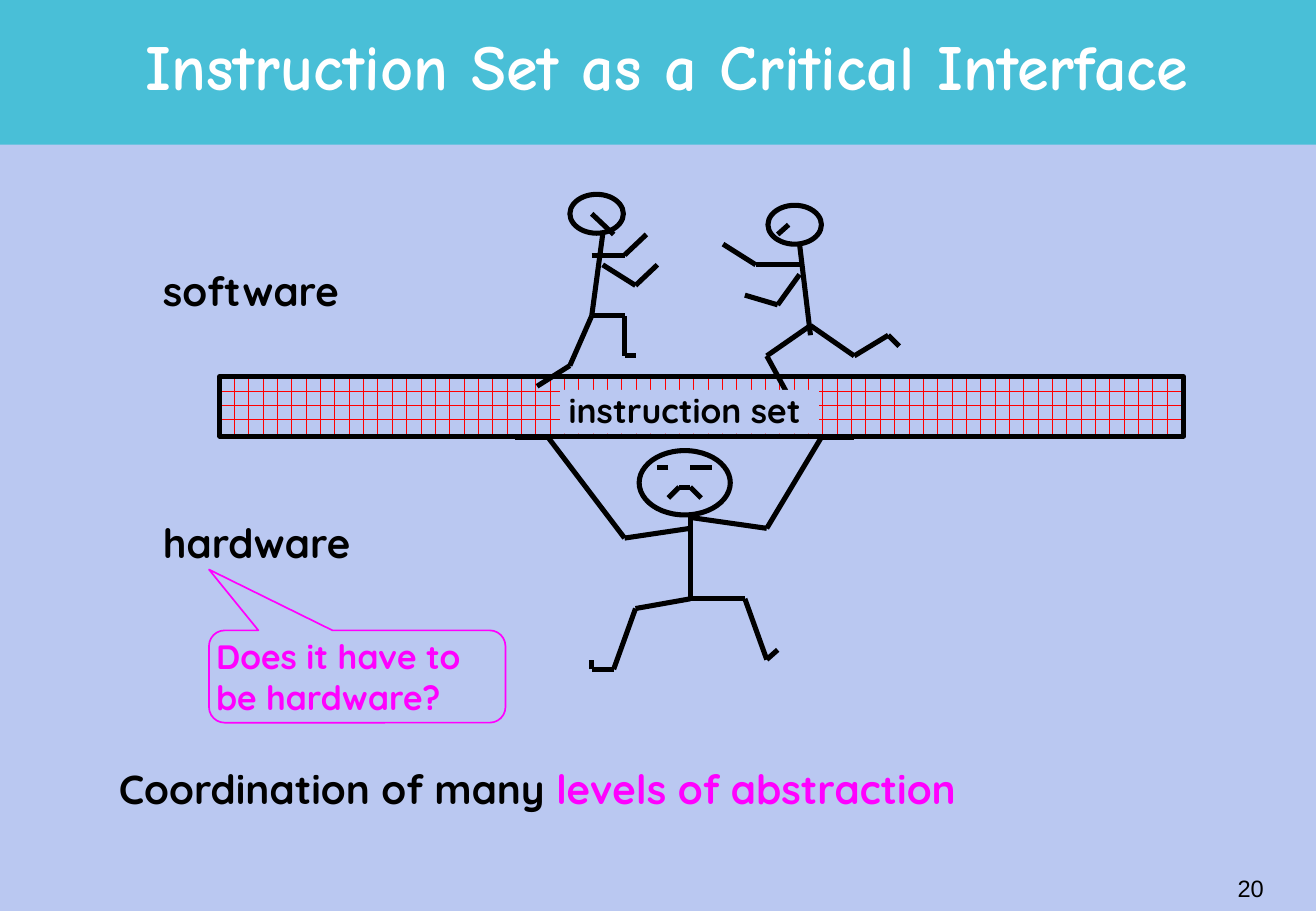
from itertools import pairwise

from lxml import etree
from pptx import Presentation
from pptx.dml.color import RGBColor
from pptx.enum.dml import MSO_PATTERN
from pptx.enum.shapes import MSO_CONNECTOR, MSO_SHAPE
from pptx.enum.text import MSO_ANCHOR, PP_ALIGN
from pptx.oxml.ns import qn
from pptx.util import Inches, Pt

RECTANGLE, OVAL = MSO_SHAPE.RECTANGLE, MSO_SHAPE.OVAL
CALLOUT = MSO_SHAPE.ROUNDED_RECTANGULAR_CALLOUT
STRAIGHT = MSO_CONNECTOR.STRAIGHT
BRICK = MSO_PATTERN.HORIZONTAL_BRICK
TOP, MIDDLE = MSO_ANCHOR.TOP, MSO_ANCHOR.MIDDLE
LEFT, CENTER, RIGHT = PP_ALIGN.LEFT, PP_ALIGN.CENTER, PP_ALIGN.RIGHT

COLORS = {"page": "BAC8F1", "band": "49BFD7", "ink": "000000",
          "accent": "FF00FF", "brick": "FF0000", "title": "FFFFFF"}
SNUG, ROOMY, TIGHT = (0.07, 0.03), (0.1, 0.05), (0.02, 0.01)

# Each figure: the box of its head, then its strokes as chains of points
FIGURES = {
    "left runner": ((4.69, 1.6, 0.44, 0.32), [
        [(4.96, 1.93), (4.87, 2.6), (5.14, 2.6), (5.14, 2.93), (5.23, 2.93)],
        [(4.87, 2.6), (4.69, 3.01), (4.42, 3.18)],
        [(4.96, 2.18), (5.23, 2.35), (5.41, 2.18)],
        [(4.87, 2.1), (5.14, 2.1), (5.32, 1.93)],
        [(5.05, 1.93), (4.87, 1.76)]]),
    "right runner": ((6.32, 1.69, 0.44, 0.32), [
        [(6.58, 2.01), (6.67, 2.76)],
        [(6.67, 2.68), (6.31, 2.93), (6.49, 3.26)],
        [(6.67, 2.68), (7.03, 2.93), (7.31, 2.76), (7.4, 2.85)],
        [(6.58, 2.26), (6.4, 2.51), (6.13, 2.43)],
        [(6.58, 2.18), (6.22, 2.18), (5.95, 2.01)],
        [(6.4, 1.93), (6.49, 1.85)]]),
    "bearer": ((5.26, 3.71, 0.75, 0.53), [
        [(5.5, 4.1), (5.59, 4.01), (5.68, 4.01), (5.77, 4.1)],
        [(5.68, 3.85), (5.86, 3.85)],
        [(5.5, 3.85), (5.41, 3.85)],
        [(5.68, 4.26), (5.68, 4.93), (6.13, 4.93), (6.31, 5.43), (6.4, 5.35)],
        [(5.68, 4.93), (5.23, 5.01), (5.05, 5.51), (4.87, 5.51), (4.87, 5.43)],
        [(5.68, 4.26), (6.31, 4.35), (6.76, 3.6), (7.03, 3.6)],
        [(5.68, 4.35), (5.14, 4.43), (4.51, 3.6), (4.24, 3.6)]]),
}


def color(name):
    return RGBColor.from_string(COLORS[name])


class Sketch:
    """Holds the text style and the current page."""

    def __init__(self, page, font):
        self.page = page
        self.font = font

    def shape(self, kind, box, fill=None, line=None, width=3):
        shape = self.page.shapes.add_shape(kind, *map(Inches, box))
        shape.shadow.inherit = False
        if fill:
            shape.fill.solid()
            shape.fill.fore_color.rgb = color(fill)
        else:
            shape.fill.background()
        if line:
            shape.line.color.rgb = color(line)
            shape.line.width = Pt(width)
        else:
            shape.line.fill.background()
        return shape

    def stroke(self, points):
        for start, end in pairwise(points):
            line = self.page.shapes.add_connector(STRAIGHT, *map(Inches, start + end))
            line.line.color.rgb = color("ink")
            line.line.width = Pt(3)
            etree.SubElement(line._element.spPr, qn("a:effectLst"))

    def figure(self, head, strokes):
        self.shape(OVAL, head, line="ink")
        for points in strokes:
            self.stroke(points)

    def label(self, shape, spans, size, margins=SNUG, spacing=1.0,
              align=LEFT, anchor=TOP, font=None, bold=True):
        frame = shape.text_frame
        across, down = map(Inches, margins)
        frame_format = {"word_wrap": True, "vertical_anchor": anchor,
                        "margin_left": across, "margin_right": across,
                        "margin_top": down, "margin_bottom": down}
        for name, value in frame_format.items():
            setattr(frame, name, value)
        para = frame.paragraphs[0]
        para.alignment = align
        para.line_spacing = spacing
        for text, tint in spans:
            span = para.add_run()
            span.text = text
            span.font.color.rgb = color(tint)
            font_format = {"name": font or self.font, "size": Pt(size), "bold": bold}
            for name, value in font_format.items():
                setattr(span.font, name, value)

    def text(self, box, spans, size, **style):
        self.label(self.page.shapes.add_textbox(*map(Inches, box)), spans, size, **style)

    def title(self, box, text, **style):
        title = self.page.shapes.title
        title.left, title.top, title.width, title.height = map(Inches, box)
        # Bring the title in front of the band
        self.page.shapes._spTree.append(title._element)
        self.label(title, [(text, "title")], **style)


def main():
    deck = Presentation()
    deck.slide_width, deck.slide_height = Inches(10.83), Inches(7.5)
    page = deck.slides.add_slide(deck.slide_layouts[5])
    page.background.fill.solid()
    page.background.fill.fore_color.rgb = color("page")
    sketch = Sketch(page, "Quicksand")

    # Header
    sketch.shape(RECTANGLE, (0, 0, 10.83, 1.19), fill="band")
    sketch.title((-0.18, 0.14, 11.34, 0.79), "Instruction Set as a Critical Interface",
                 size=38, font="Comic Neue", margins=ROOMY, align=CENTER, anchor=MIDDLE)

    # Brick bar between software and hardware
    bar = sketch.shape(RECTANGLE, (1.81, 3.1, 7.93, 0.49), line="ink")
    bar.fill.patterned()
    bar.fill.pattern = BRICK
    bar.fill.fore_color.rgb = color("brick")
    bar.fill.back_color.rgb = color("page")

    # Stick figures
    for head, strokes in FIGURES.values():
        sketch.figure(head, strokes)

    # Labels
    plate = sketch.shape(RECTANGLE, (4.61, 3.21, 2.13, 0.36), fill="page")
    sketch.label(plate, [("instruction set", "ink")], 20, spacing=0.92)
    for word, top in (("software", 2.22), ("hardware", 4.3)):
        sketch.text((1.27, top, 1.84, 0.4), [(word, "ink")], 24, spacing=0.85)

    # Question
    callout = sketch.shape(CALLOUT, (1.72, 5.19, 2.44, 0.76), line="accent", width=1)
    for index, value in enumerate((-0.5, -1.16, 0.17)):
        callout.adjustments[index] = value
    sketch.label(callout, [("Does it have to be hardware?", "accent")], 20,
                 margins=TIGHT, anchor=MIDDLE)

    # Conclusion and page number
    sketch.text((0.88, 6.29, 9.21, 0.5),
                [("Coordination of many ", "ink"), ("levels of abstraction", "accent")],
                24, margins=ROOMY, spacing=0.9)
    sketch.text((8.24, 7.06, 2.26, 0.5), [("20", "ink")], 14, margins=ROOMY,
                align=RIGHT, anchor=MIDDLE, font="Arial", bold=False)

    deck.save("out.pptx")


if __name__ == "__main__":
    main()
